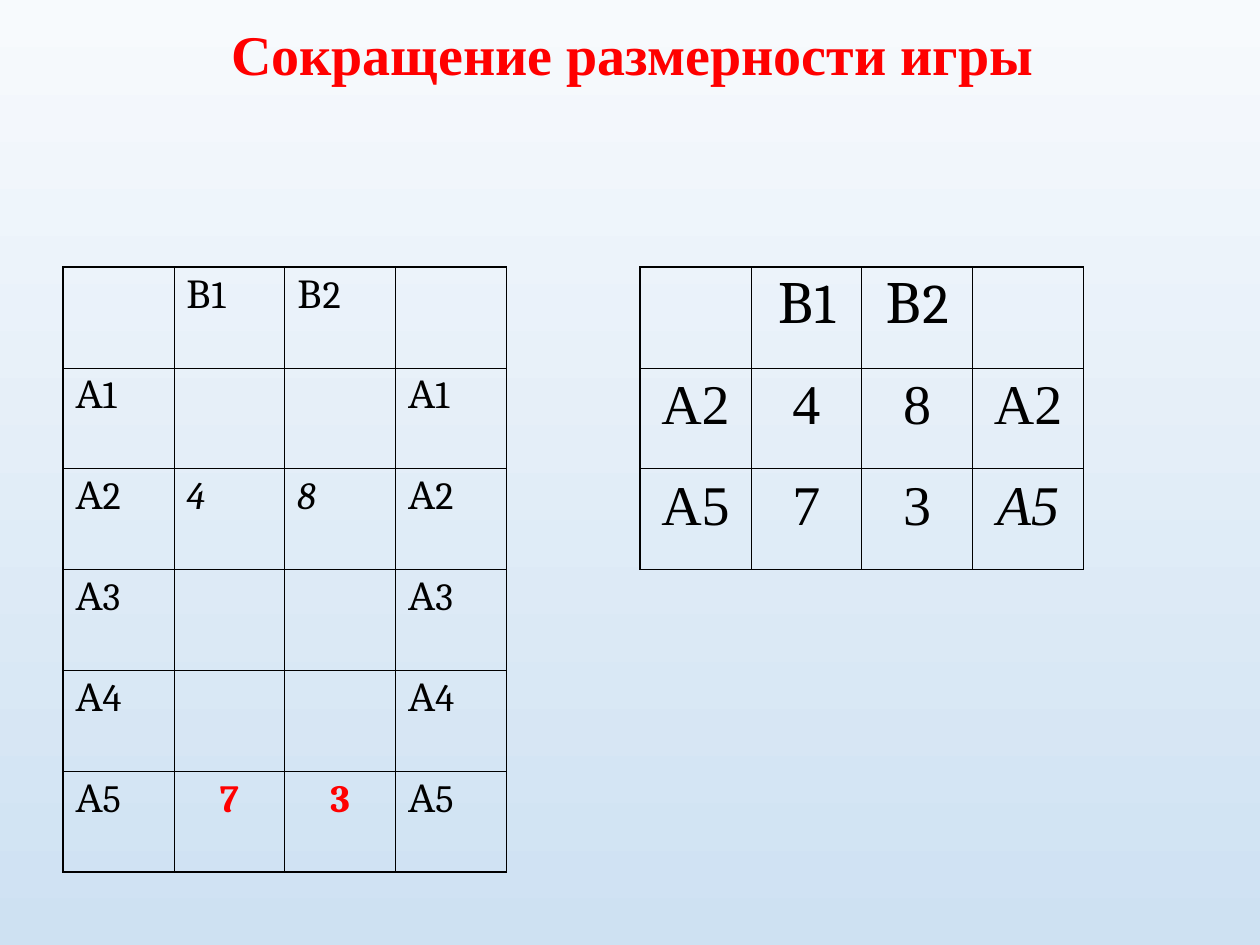
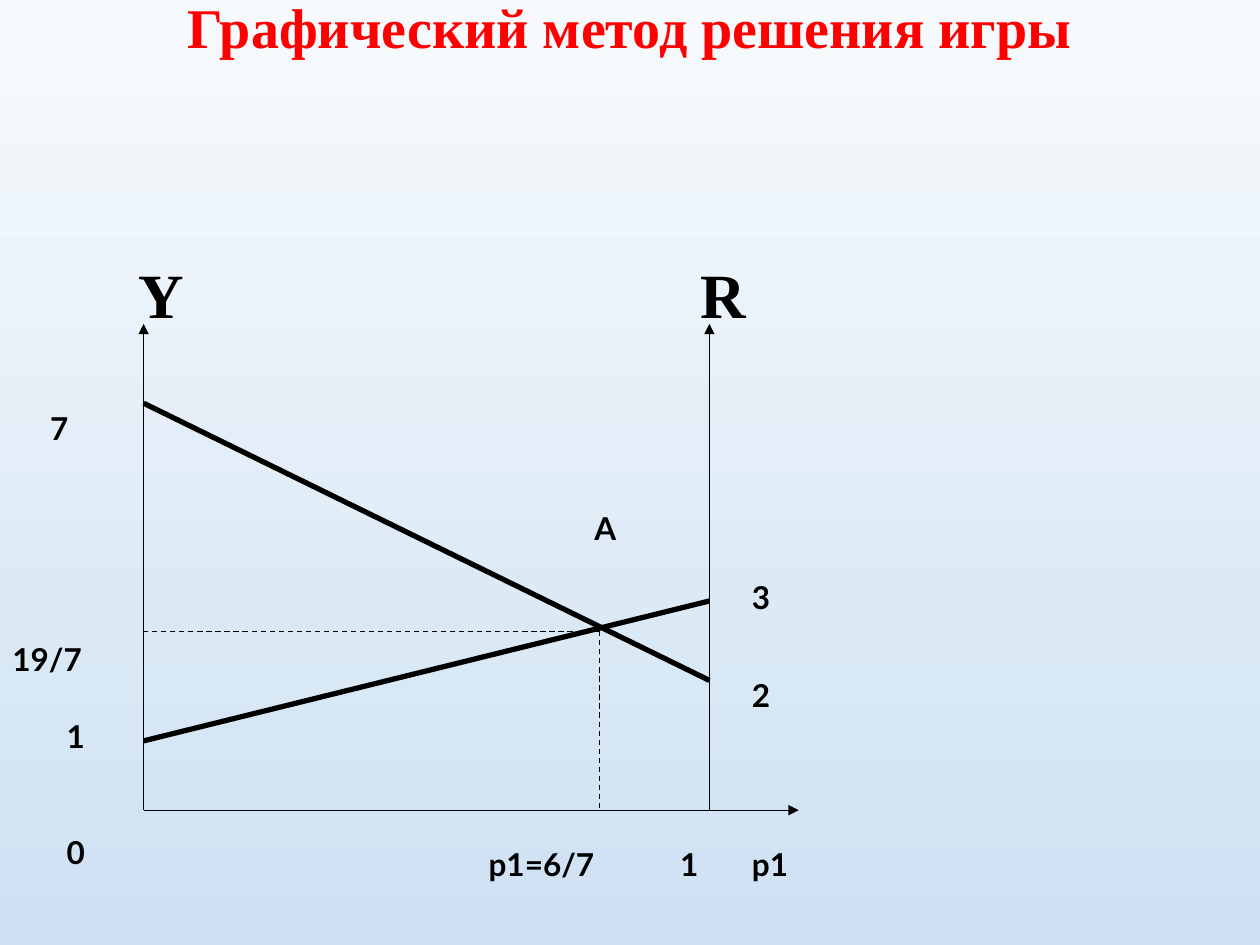
"""Build two slides on reducing a matrix game and solving it graphically."""
from dataclasses import dataclass

from lxml import etree
from pptx import Presentation
from pptx.dml.color import RGBColor
from pptx.enum.dml import MSO_LINE
from pptx.enum.shapes import MSO_CONNECTOR
from pptx.enum.text import MSO_ANCHOR, PP_ALIGN
from pptx.oxml.ns import qn
from pptx.slide import Slide
from pptx.util import Inches, Pt

LEFT, CENTER = PP_ALIGN.LEFT, PP_ALIGN.CENTER
TOP, MIDDLE = MSO_ANCHOR.TOP, MSO_ANCHOR.MIDDLE
DASH = MSO_LINE.DASH
STRAIGHT = MSO_CONNECTOR.STRAIGHT

COLORS = {"sky_top": "F7FAFD", "sky_bottom": "CEE1F2", "accent": "FF0000", "ink": "000000"}
SERIF, CELL_FONT, LABEL_FONT = "Times New Roman", "Cambria", "Lato"
COLUMN_WIDTH, ROW_HEIGHT = 0.88, 0.8
OUTER_BORDER, INNER_BORDER = 1.08, 0.45

Y_AXIS, R_AXIS, BASELINE, AXIS_TOP = 1.14, 5.63, 6.43, 2.57
OPTIMUM_X, OPTIMUM_Y = 4.76, 5.01


@dataclass(frozen=True)
class Style:
    size: float
    font: str
    color: str = "ink"
    bold: bool = False
    italic: bool = False
    align: PP_ALIGN = LEFT


@dataclass(frozen=True)
class Label:
    text: str
    left: float
    top: float
    width: float
    height: float
    style: Style
    inset_x: float = 0.1
    inset_y: float = 0.05
    anchor: MSO_ANCHOR = TOP


@dataclass(frozen=True)
class Segment:
    start: tuple[float, float]
    end: tuple[float, float]
    width: float = 0.75
    arrow: bool = False
    dashed: bool = False


@dataclass(frozen=True)
class Matrix:
    left: float
    top: float
    rows: list[list[str]]
    style: Style
    special: dict[tuple[int, int], Style]


TITLE = Style(32, SERIF, "accent", bold=True, align=CENTER)
AXIS_NAME = Style(36, SERIF, bold=True)
MARK = Style(18, LABEL_FONT, bold=True)
POINT = Style(18, LABEL_FONT, bold=True, align=CENTER)
FULL_CELL = Style(22, CELL_FONT)
FULL_ITALIC = Style(22, CELL_FONT, italic=True)
FULL_ACCENT = Style(22, CELL_FONT, "accent", bold=True, align=CENTER)
REDUCED_HEAD = Style(32, CELL_FONT, align=CENTER)
REDUCED_CELL = Style(32, SERIF, align=CENTER)
REDUCED_ITALIC = Style(32, SERIF, italic=True, align=CENTER)

HEADER = ["", "В1", "В2", ""]
PAYOFFS = {"А2": ["4", "8"], "А5": ["7", "3"]}
STRATEGIES = [f"А{number}" for number in range(1, 6)]


def payoff_rows(strategies: list[str]) -> list[list[str]]:
    return [HEADER] + [[name, *PAYOFFS.get(name, ["", ""]), name] for name in strategies]


MATRICES = [
    Matrix(0.5, 2.12, payoff_rows(STRATEGIES), FULL_CELL,
           {(2, 1): FULL_ITALIC, (2, 2): FULL_ITALIC, (5, 1): FULL_ACCENT, (5, 2): FULL_ACCENT}),
    Matrix(5.08, 2.12, payoff_rows(list(PAYOFFS)), REDUCED_CELL,
           {(0, 1): REDUCED_HEAD, (0, 2): REDUCED_HEAD, (2, 3): REDUCED_ITALIC}),
]

SEGMENTS = [
    Segment((Y_AXIS, BASELINE), (Y_AXIS, AXIS_TOP), arrow=True),
    Segment((Y_AXIS, BASELINE), (6.34, BASELINE), arrow=True),
    Segment((R_AXIS, BASELINE), (R_AXIS, AXIS_TOP), arrow=True),
    Segment((Y_AXIS, 3.2), (R_AXIS, 5.4), width=3),
    Segment((Y_AXIS, 5.88), (R_AXIS, 4.77), width=3),
    Segment((OPTIMUM_X, OPTIMUM_Y), (OPTIMUM_X, BASELINE), dashed=True),
    Segment((OPTIMUM_X, OPTIMUM_Y), (Y_AXIS, OPTIMUM_Y), dashed=True),
]

GRAPH_LABELS = [
    Label("Y", 1.0, 1.98, 0.7, 0.65, AXIS_NAME),
    Label("R", 5.46, 1.98, 0.7, 0.65, AXIS_NAME),
    Label("7", 0.3, 3.2, 0.5, 0.4, MARK),
    Label("19/7", 0, 5.03, 0.83, 0.4, MARK),
    Label("1", 0.43, 5.64, 0.55, 0.4, MARK),
    Label("0", 0.43, 6.56, 0.55, 0.4, MARK),
    Label("3", 5.87, 4.54, 0.47, 0.4, MARK),
    Label("2", 5.87, 5.32, 0.63, 0.4, MARK),
    Label("A", 4.37, 3.99, 0.87, 0.4, POINT),
    Label("p1=6/7", 3.78, 6.66, 1.2, 0.4, MARK),
    Label("1", 5.3, 6.66, 0.5, 0.4, MARK),
    Label("p1", 5.87, 6.66, 0.7, 0.4, MARK),
]


def rgb(name: str) -> RGBColor:
    return RGBColor.from_string(COLORS[name])


def write(paragraph, text: str, style: Style) -> None:
    paragraph.alignment = style.align
    run = paragraph.add_run()
    run.text = text
    run.font.size = Pt(style.size)
    run.font.name = style.font
    run.font.bold = style.bold
    run.font.italic = style.italic
    run.font.color.rgb = rgb(style.color)


def draw_label(slide: Slide, label: Label):
    box = slide.shapes.add_textbox(
        Inches(label.left), Inches(label.top), Inches(label.width), Inches(label.height))
    frame = box.text_frame
    frame.word_wrap = True
    frame.vertical_anchor = label.anchor
    frame.margin_left = frame.margin_right = Inches(label.inset_x)
    frame.margin_top = frame.margin_bottom = Inches(label.inset_y)
    write(frame.paragraphs[0], label.text, label.style)
    return frame


def draw_segment(slide: Slide, segment: Segment) -> None:
    points = [Inches(value) for value in (*segment.start, *segment.end)]
    connector = slide.shapes.add_connector(STRAIGHT, *points)
    connector.line.color.rgb = rgb("ink")
    connector.line.width = Pt(segment.width)
    if segment.dashed:
        connector.line.dash_style = DASH
    properties = connector.element.spPr
    if segment.arrow:
        etree.SubElement(properties.find(qn("a:ln")), qn("a:tailEnd"), type="triangle")
    etree.SubElement(properties, qn("a:effectLst"))


def add_borders(cell, outer_sides: dict[str, bool]) -> None:
    properties = cell._tc.get_or_add_tcPr()
    for side, is_outer in outer_sides.items():
        width = Pt(OUTER_BORDER if is_outer else INNER_BORDER)
        border = etree.SubElement(properties, qn(f"a:ln{side}"), w=str(width))
        fill = etree.SubElement(border, qn("a:solidFill"))
        etree.SubElement(fill, qn("a:srgbClr"), val=COLORS["ink"])


def draw_matrix(slide: Slide, matrix: Matrix) -> None:
    row_count, column_count = len(matrix.rows), len(HEADER)
    table = slide.shapes.add_table(
        row_count, column_count, Inches(matrix.left), Inches(matrix.top),
        Inches(COLUMN_WIDTH * column_count), Inches(ROW_HEIGHT * row_count)).table
    table.first_row = table.horz_banding = False
    for column in table.columns:
        column.width = Inches(COLUMN_WIDTH)
    for row_index, values in enumerate(matrix.rows):
        table.rows[row_index].height = Inches(ROW_HEIGHT)
        for column_index, value in enumerate(values):
            cell = table.cell(row_index, column_index)
            add_borders(cell, {
                "L": column_index == 0, "R": column_index == column_count - 1,
                "T": row_index == 0, "B": row_index == row_count - 1})
            cell.fill.background()
            if value:
                style = matrix.special.get((row_index, column_index), matrix.style)
                write(cell.text_frame.paragraphs[0], value, style)


def add_slide(deck, title: str, left: float, top: float, width: float, height: float) -> Slide:
    slide = deck.slides.add_slide(deck.slide_layouts[6])
    sky = slide.background.fill
    sky.gradient()
    sky.gradient_angle = 270
    for stop, position, color in zip(sky.gradient_stops, (0, 1), ("sky_top", "sky_bottom")):
        stop.position = position
        stop.color.rgb = rgb(color)
    heading = draw_label(slide, Label(title, left, top, width, height, TITLE, 0, 0, MIDDLE))
    heading.paragraphs[0].line_spacing = 0.9
    return slide


def main() -> None:
    deck = Presentation()
    deck.slide_width, deck.slide_height = Inches(10), Inches(7.5)

    reduction = add_slide(deck, "Сокращение размерности игры", 0.71, 0, 8.62, 0.91)
    for matrix in MATRICES:
        draw_matrix(reduction, matrix)

    graph = add_slide(deck, "Графический метод решения игры", 0.06, 0.02, 9.88, 0.44)
    for segment in SEGMENTS:
        draw_segment(graph, segment)
    for label in GRAPH_LABELS:
        draw_label(graph, label)

    deck.save("out.pptx")


if __name__ == "__main__":
    main()
